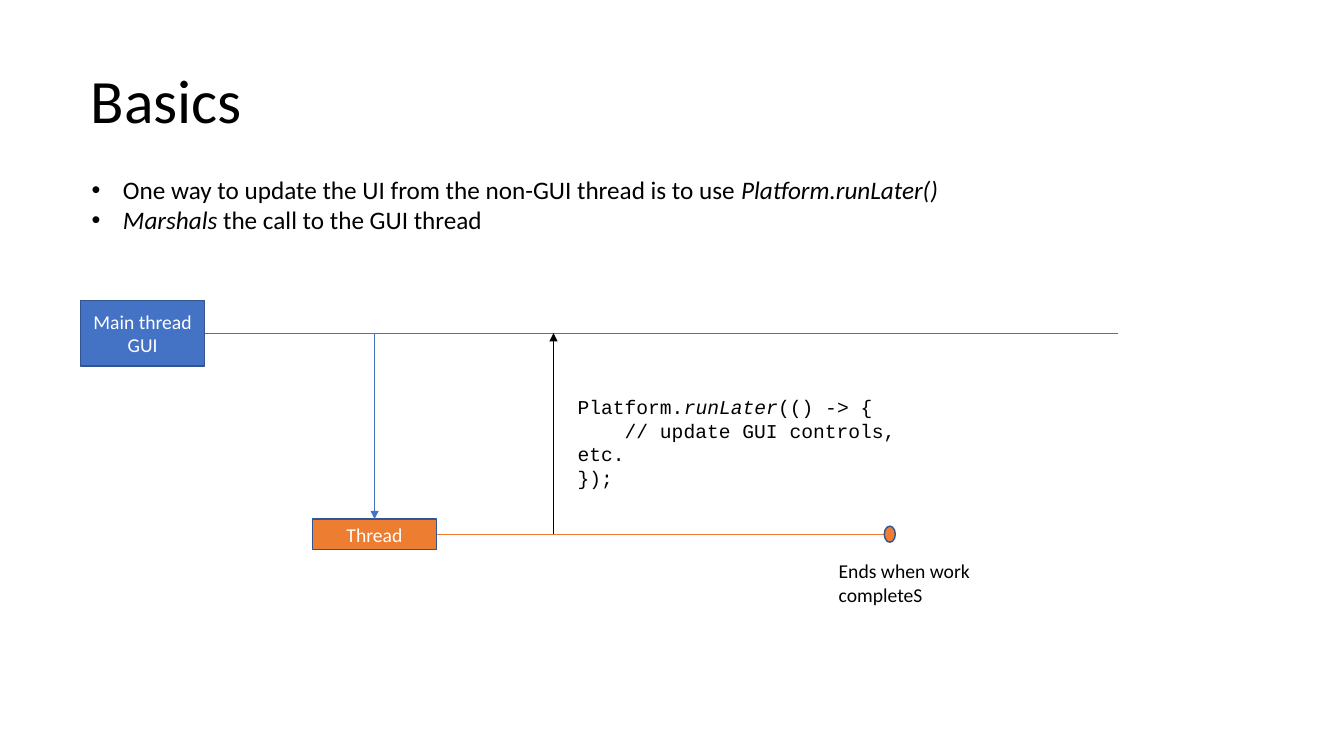
from pptx import Presentation
from pptx.dml.color import RGBColor
from pptx.enum.shapes import MSO_CONNECTOR, MSO_SHAPE
from pptx.enum.text import MSO_ANCHOR, MSO_AUTO_SIZE, PP_ALIGN
from pptx.oxml.ns import qn
from pptx.util import Inches, Pt
from lxml import etree

RECT, OVAL = MSO_SHAPE.RECTANGLE, MSO_SHAPE.OVAL
STRAIGHT = MSO_CONNECTOR.STRAIGHT
LEFT, CENTER = PP_ALIGN.LEFT, PP_ALIGN.CENTER
TOP, MIDDLE = MSO_ANCHOR.TOP, MSO_ANCHOR.MIDDLE
FIXED = MSO_AUTO_SIZE.NONE
SIDE_TOP, SIDE_RIGHT = 0, 3

THEME = {
    "blue": "4472C4", "orange": "ED7D31", "edge": "325491",
    "black": "000000", "white": "FFFFFF",
    "sans": "Calibri", "mono": "Courier New",
    "title": 44, "body": 18, "label": 14,
}

# Each paragraph is a list of (text, italic) runs.
TITLE = [[("Basics", False)]]
POINTS = [
    [("One way to update the UI from the non-GUI thread is to use ", False),
     ("Platform.runLater()", True)],
    [("Marshals", True), (" the call to the GUI thread", False)],
]
CODE = [
    [("Platform.", False), ("runLater", True), ("(() -> {", False)],
    [("    // update GUI controls, etc.", False)],
    [("});", False)],
]
MAIN = [[("Main thread", False)], [("GUI", False)]]
WORK = [[("Thread", False)]]
DONE = [[("Ends when work completeS", False)]]

# Left, top, width, height in inches
TITLE_BOX = (0.8, 0.64, 11.5, 0.77)
POINTS_BOX = (0.81, 1.68, 8.7, 0.71)
MAIN_BOX = (0.8, 2.98, 1.23, 0.65)
WORK_BOX = (3.1, 5.15, 1.23, 0.3)
CODE_BOX = (5.63, 3.87, 3.68, 0.81)
DONE_BOX = (8.22, 5.5, 1.56, 0.57)
DOT_SIZE = (0.11, 0.16)
MAIN_END, WORK_END, CALL_X = 11.09, 8.77, 5.49
INDENT = 0.31


def color(name):
    return RGBColor.from_string(THEME[name])


def place(shape, box):
    for name, value in zip(("left", "top", "width", "height"), box):
        setattr(shape, name, Inches(value))


def write(shape, lines, size="label", ink="black", face="sans",
          align=LEFT, anchor=TOP, spacing=1.0):
    frame = shape.text_frame
    layout = {"word_wrap": True, "auto_size": FIXED, "vertical_anchor": anchor}
    for name, value in layout.items():
        setattr(frame, name, value)
    for i, line in enumerate(lines):
        para = frame.paragraphs[0] if i == 0 else frame.add_paragraph()
        style = {"alignment": align, "line_spacing": spacing,
                 "space_before": Pt(0), "space_after": Pt(0)}
        for name, value in style.items():
            setattr(para, name, value)
        for text, italic in line:
            run = para.add_run()
            run.text = text
            look = {"name": THEME[face], "size": Pt(THEME[size]),
                    "italic": italic}
            for name, value in look.items():
                setattr(run.font, name, value)
            run.font.color.rgb = color(ink)


def bullet(shape):
    for para in shape.text_frame.paragraphs:
        props = para._p.get_or_add_pPr()
        props.set("marL", str(Inches(INDENT)))
        props.set("indent", str(-Inches(INDENT)))
        etree.SubElement(props, qn("a:buFont"), typeface="Arial")
        etree.SubElement(props, qn("a:buChar"), char="•")


def add_note(slide, box, lines, **style):
    note = slide.shapes.add_textbox(*map(Inches, box))
    write(note, lines, **style)


def add_node(slide, kind, box, fill):
    node = slide.shapes.add_shape(kind, *map(Inches, box))
    node.shadow.inherit = False
    node.fill.solid()
    node.fill.fore_color.rgb = color(fill)
    node.line.color.rgb = color("edge")
    node.line.width = Pt(1)
    return node


def add_line(slide, start, end, ink, arrow=False):
    line = slide.shapes.add_connector(STRAIGHT, *map(Inches, start + end))
    line.line.color.rgb = color(ink)
    line.line.width = Pt(0.5)
    if arrow:
        etree.SubElement(line.line._get_or_add_ln(), qn("a:tailEnd"),
                         type="triangle")
    etree.SubElement(line._element.spPr, qn("a:effectLst"))
    return line


def middle(box):
    left, top, width, height = box
    return left + width / 2, top + height / 2


def main():
    deck = Presentation()
    deck.slide_width, deck.slide_height = Inches(13.33), Inches(7.5)
    slide = deck.slides.add_slide(deck.slide_layouts[1])

    title, body = slide.shapes.title, slide.placeholders[1]
    place(title, TITLE_BOX)
    write(title, TITLE, size="title", anchor=MIDDLE, spacing=0.9)
    place(body, POINTS_BOX)
    write(body, POINTS, size="body")
    bullet(body)

    gui = add_node(slide, RECT, MAIN_BOX, "blue")
    work = add_node(slide, RECT, WORK_BOX, "orange")
    for node, lines in ((gui, MAIN), (work, WORK)):
        write(node, lines, ink="white", align=CENTER, anchor=MIDDLE)

    main_y = middle(MAIN_BOX)[1]
    work_x, work_y = middle(WORK_BOX)
    main_x = MAIN_BOX[0] + MAIN_BOX[2]
    exit_x = WORK_BOX[0] + WORK_BOX[2]

    life = add_line(slide, (main_x, main_y), (MAIN_END, main_y), "blue")
    life.begin_connect(gui, SIDE_RIGHT)
    spawn = add_line(slide, (work_x, main_y), (work_x, WORK_BOX[1]),
                     "blue", arrow=True)
    spawn.end_connect(work, SIDE_TOP)
    task = add_line(slide, (exit_x, work_y), (WORK_END, work_y), "orange")
    task.begin_connect(work, SIDE_RIGHT)

    dot_y = work_y - DOT_SIZE[1] / 2
    add_node(slide, OVAL, (WORK_END, dot_y) + DOT_SIZE, "orange")
    add_line(slide, (CALL_X, work_y), (CALL_X, main_y), "black", arrow=True)

    add_note(slide, DONE_BOX, DONE)
    add_note(slide, CODE_BOX, CODE, face="mono")
    deck.save("out.pptx")


if __name__ == "__main__":
    main()
